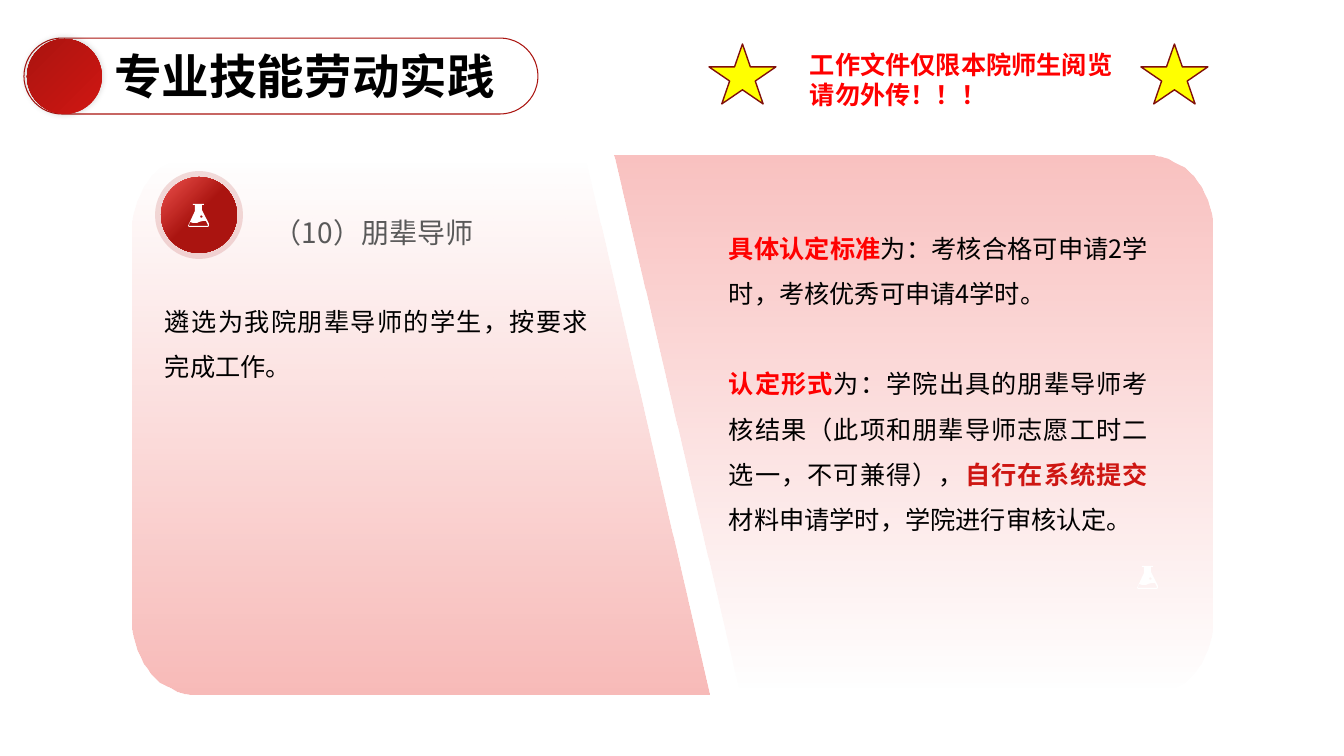
from math import cos, pi, sin

from lxml.etree import SubElement
from pptx import Presentation
from pptx.dml.color import RGBColor
from pptx.enum.shapes import MSO_SHAPE as SHAPE
from pptx.enum.text import MSO_ANCHOR as ANCHOR, PP_ALIGN as ALIGN
from pptx.oxml.ns import qn
from pptx.util import Pt

PX = 914400 / 100.8
FONT = "Noto Sans CJK SC"
COLORS = {
    "black": "000000", "grey": "595959", "white": "FFFFFF", "yellow": "FFFF00",
    "red": "FF0000", "crimson": "CE1612", "dark": "AA1410", "maroon": "800F0C",
    "coral": "EE524D", "pink": "F16461",
}

# Each paragraph is a list of runs: (text, colour, bold)
TITLE = [[("专业技能劳动实践", "black", True)]]
NOTICE = [[("工作文件仅限本院师生阅览", "red", True)], [("请勿外传！！！", "red", True)]]
HEADING = [[("（10）朋辈导师", "grey", False)]]
TASK = [[("遴选为我院朋辈导师的学生，按要求完成工作。", "black", False)]]
CRITERIA = [
    [("具体认定标准", "red", True),
     ("为：考核合格可申请2学时，考核优秀可申请4学时。", "black", False)],
    [("认定形式", "red", True),
     ("为：学院出具的朋辈导师考核结果（此项和朋辈导师志愿工时二选一，不可兼得），", "black", False),
     ("自行在系统提交", "crimson", True),
     ("材料申请学时，学院进行审核认定。", "black", False)],
]

PANEL_TOP, PANEL_BOTTOM = 156, 695
PANEL_LEFT, PANEL_RIGHT = 133, 1212
CORNER_X, CORNER_Y = 64, 73
FLASKS = [(188, 204), (1137, 566)]
FLASK_PARTS = [
    [(0, 22), (7, 7), (7, 1), (5, 1), (5, 0), (16, 0), (16, 1), (14, 1),
     (14, 6), (21, 20), (21, 22), (20, 23), (1, 23)],
    [(11, 18), (9, 19), (5, 19), (2, 18), (1, 21), (1, 22), (20, 22),
     (20, 21), (18, 17), (15, 17)],
    [(12, 13), (13, 11), (15, 13), (13, 14)],
]
STARS = [709, 1141]

presentation = Presentation()
presentation.slide_width, presentation.slide_height = round(1344 * PX), round(756 * PX)
slide = presentation.slides.add_slide(presentation.slide_layouts[5])
shapes = slide.shapes


def emu(*lengths):
    return [round(length * PX) for length in lengths]


def color(name):
    return RGBColor.from_string(COLORS[name])


def set_alpha(shape, percents):
    """Give each fill colour of the shape its opacity."""
    for node, percent in zip(shape.element.spPr.iter(qn("a:srgbClr")), percents):
        SubElement(node, qn("a:alpha"), val=str(percent * 1000))


def fill_gradient(shape, stops, clockwise):
    shape.fill.gradient()
    shape.fill.gradient_angle = (360 - clockwise) % 360
    for stop, (position, name) in zip(shape.fill.gradient_stops, stops):
        stop.position = position
        stop.color.rgb = color(name)


def fill_solid(shape, name):
    shape.fill.solid()
    shape.fill.fore_color.rgb = color(name)


def plain(shape):
    shape.shadow.inherit = False
    shape.line.fill.background()
    return shape


def add_outline(parts):
    builder = shapes.build_freeform(*parts[0][0], scale=PX)
    builder.add_line_segments(parts[0][1:], close=True)
    for part in parts[1:]:
        builder.move_to(*part[0])
        builder.add_line_segments(part[1:], close=True)
    return plain(builder.convert_to_shape())


def corner(center_x, center_y, start, steps=16):
    """Points of a clockwise quarter ellipse, from the start angle in degrees."""
    angles = [start * pi / 180 + pi / 2 * i / steps for i in range(steps + 1)]
    return [(center_x + CORNER_X * cos(a), center_y + CORNER_Y * sin(a)) for a in angles]


def write(shape, box, paragraphs, size, align, spacing=1.0, anchor=ANCHOR.TOP, gap=0, latin=FONT):
    shape.left, shape.top, shape.width, shape.height = emu(*box)
    frame = shape.text_frame
    frame.word_wrap = True
    frame.vertical_anchor = anchor
    for index, runs in enumerate(paragraphs):
        paragraph = frame.add_paragraph() if index else frame.paragraphs[0]
        paragraph.alignment = align
        paragraph.line_spacing = spacing
        paragraph.space_before = Pt(gap if index else 0)
        for text, name, bold in runs:
            run = paragraph.add_run()
            run.text = text
            run.font.size, run.font.bold, run.font.name = Pt(size), bold, latin
            run.font.color.rgb = color(name)
            SubElement(run.font._element, qn("a:ea"), typeface=FONT)


def add_text(box, *args, **options):
    write(shapes.add_textbox(*emu(*box)), box, *args, **options)


# Panels
lower, upper = PANEL_BOTTOM - CORNER_Y, PANEL_TOP + CORNER_Y
inner_left, inner_right = PANEL_LEFT + CORNER_X, PANEL_RIGHT - CORNER_X
left_panel = add_outline([[(585, PANEL_TOP), (710, PANEL_BOTTOM)]
                          + corner(inner_left, lower, 90) + corner(inner_left, upper, 180)])
right_panel = add_outline([[(615, PANEL_TOP)] + corner(inner_right, upper, 270)
                           + corner(inner_right, lower, 0) + [(741, PANEL_BOTTOM)]])
for panel, name, angle in [(left_panel, "coral", 90), (right_panel, "pink", 270)]:
    fill_gradient(panel, [(0, name), (1, name)], angle)
    set_alpha(panel, [0, 40])

# Badge and flasks
halo = plain(shapes.add_shape(SHAPE.OVAL, *emu(155, 171, 88, 88)))
fill_solid(halo, "dark")
set_alpha(halo, [15])
badge = plain(shapes.add_shape(SHAPE.OVAL, *emu(161, 177, 76, 76)))
fill_gradient(badge, [(0, "coral"), (0.5, "dark")], 45)
for x, y in FLASKS:
    flask = add_outline([[(x + dx, y + dy) for dx, dy in part] for part in FLASK_PARTS])
    fill_solid(flask, "white")

# Title bar
pill = plain(shapes.add_shape(SHAPE.ROUNDED_RECTANGLE, *emu(24, 38, 514, 76)))
pill.adjustments[0] = 0.5
pill.fill.background()
pill.line.color.rgb = color("dark")
pill.line.width = Pt(0.75)
dot = plain(shapes.add_shape(SHAPE.OVAL, *emu(27, 39, 75, 75)))
fill_gradient(dot, [(0.04, "crimson"), (1, "dark")], 225)
effects = dot.element.spPr.find(qn("a:effectLst"))
shadow = SubElement(effects, qn("a:outerShdw"), blurRad=str(Pt(5)), dist="0", dir="0")
shade = SubElement(shadow, qn("a:srgbClr"), val=COLORS["black"])
SubElement(shade, qn("a:alpha"), val="22000")

# Text
write(shapes.title, (101, 42, 407, 68), TITLE, 34, ALIGN.CENTER)
add_text((264, 200, 243, 54), HEADING, 20, ALIGN.JUSTIFY, 1.5, ANCHOR.BOTTOM)
add_text((155, 286, 443, 328), TASK, 18, ALIGN.JUSTIFY, 1.5)
add_text((719, 213, 439, 74), CRITERIA, 18, ALIGN.JUSTIFY, 1.5, gap=32)
add_text((800, 44, 354, 72), NOTICE, 18, ALIGN.LEFT, latin="Arial")

for x in STARS:
    star = plain(shapes.add_shape(SHAPE.STAR_5_POINT, *emu(x, 44, 67, 60)))
    fill_solid(star, "yellow")
    star.line.color.rgb = color("maroon")
    star.line.width = Pt(1)

presentation.save("out.pptx")
